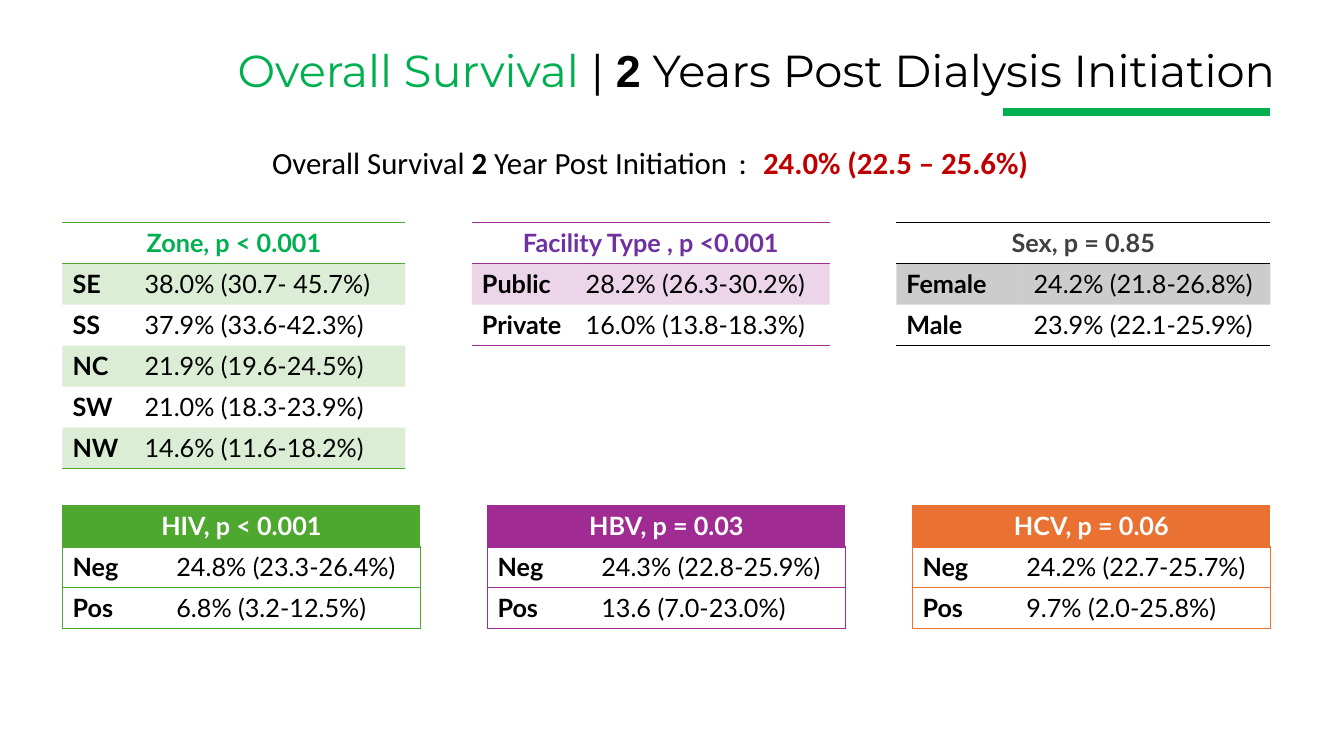
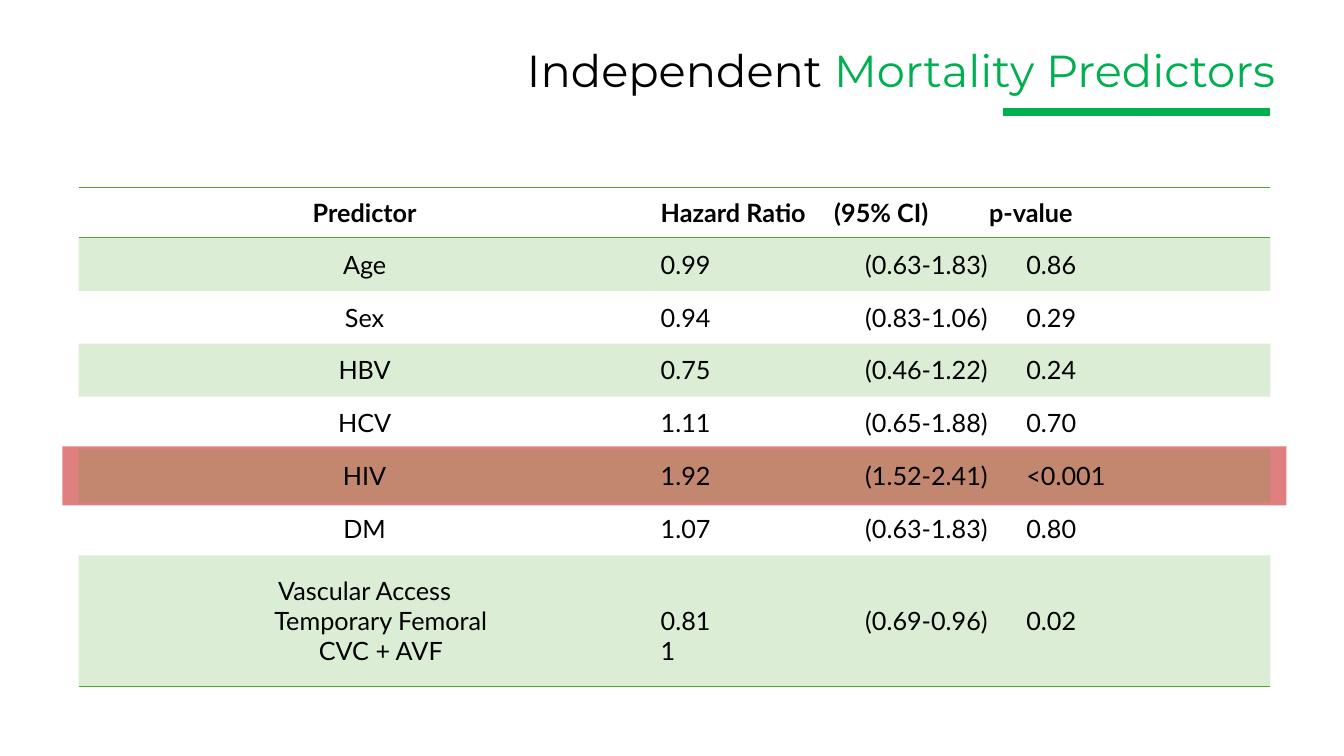
import collections
import dataclasses

import lxml.etree
import pptx
import pptx.dml.color
import pptx.enum.shapes
import pptx.enum.text
import pptx.oxml.ns
import pptx.util

ALIGN = pptx.enum.text.PP_ALIGN
ANCHOR = pptx.enum.text.MSO_ANCHOR
qn = pptx.oxml.ns.qn


@dataclasses.dataclass(frozen=True)
class Theme:
    accent: str = "00B050"
    black: str = "000000"
    white: str = "FFFFFF"
    grey: str = "404040"
    red: str = "C00000"
    green: str = "4EA72E"
    magenta: str = "A02B93"
    violet: str = "7030A0"
    orange: str = "E97132"
    title_font: str = "Montserrat"
    number_font: str = "Arial"
    table_font: str = "Lato"
    summary_font: str = "Calibri"
    title_size: int = 32
    summary_size: int = 22
    table_size: int = 18
    band_opacity: int = 20
    highlight_opacity: int = 50


THEME = Theme()
PLAIN_TABLE = "{2D5ABB26-0587-4C30-8999-92F81FD0307C}"
WIDTH, HEIGHT = pptx.util.Inches(13.33), pptx.util.Inches(7.5)

Box = collections.namedtuple("Box", "left top width height")
Style = collections.namedtuple("Style", "font size color bold spacing", defaults=(False, 0))
Group = collections.namedtuple("Group", "title title_color color width label_share rows")


def grid(left, top, width, height):
    """Box on a grid of 100 columns by 100 rows over the slide."""
    return Box(*(round(value * side / 100) for value, side in
                 zip((left, top, width, height), (WIDTH, HEIGHT) * 2)))


CONTENT_LEFT, CONTENT_RIGHT = 4.65, 94.52
GROUP_ROW = 5.42


# Text, fills and borders
def rgb(color):
    return pptx.dml.color.RGBColor.from_string(color)


def add_runs(paragraph, runs, align=ALIGN.LEFT):
    paragraph.alignment = align
    for text, style in runs:
        run = paragraph.add_run()
        run.text = text
        run.font.name, run.font.size = style.font, pptx.util.Pt(style.size)
        run.font.bold = style.bold
        run.font.color.rgb = rgb(style.color)
        if style.spacing:
            run.font._element.set("spc", str(style.spacing))


def add_line_of_text(slide, box, runs, align):
    frame = slide.shapes.add_textbox(*box).text_frame
    frame.word_wrap = False
    frame.auto_size = pptx.enum.text.MSO_AUTO_SIZE.SHAPE_TO_FIT_TEXT
    add_runs(frame.paragraphs[0], runs, align)


def paint(fill, color, opacity=100):
    fill.solid()
    fill.fore_color.rgb = rgb(color)
    if opacity < 100:
        color_element = fill._xPr.find(qn("a:solidFill"))[0]
        alpha = lxml.etree.SubElement(color_element, qn("a:alpha"))
        alpha.set("val", str(opacity * 1000))


def finish_cell(cell, sides, line_color, fill_color=None, opacity=100):
    """Draw the given sides (from L, R, T, B), then fill the cell."""
    properties = cell._tc.get_or_add_tcPr()
    for side in "LRTB":
        line = lxml.etree.SubElement(properties, qn("a:ln" + side))
        if side in sides:
            line.set("w", str(pptx.util.Pt(1)))
            solid = lxml.etree.SubElement(line, qn("a:solidFill"))
            lxml.etree.SubElement(solid, qn("a:srgbClr")).set("val", line_color)
        else:
            line.set("w", "0")
            lxml.etree.SubElement(line, qn("a:noFill"))
    if fill_color:
        paint(cell.fill, fill_color, opacity)
    else:
        cell.fill.background()


def add_plain_table(slide, box, row_weights, label_share):
    """Two-column table without a style of its own."""
    frame = slide.shapes.add_table(len(row_weights), 2, *box)
    table = frame.table
    table.first_row = table.horz_banding = False
    table._tbl.tblPr.find(qn("a:tableStyleId")).text = PLAIN_TABLE
    table.columns[0].width = round(box.width * label_share)
    table.columns[1].width = box.width - table.columns[0].width
    for row, weight in zip(table.rows, row_weights):
        row.height = round(box.height * weight / sum(row_weights))
    return table


def finish_banded_row(table, index, color):
    """Rules around the header and below the last row, tint on odd rows."""
    last = len(table.rows) - 1
    sides = "TB" if index == 0 else "B" if index == last else ""
    tint = color if index % 2 else None
    for cell in table.rows[index].cells:
        finish_cell(cell, sides, color, tint, THEME.band_opacity)


# Title with the rule below it
def add_title(slide, left, runs):
    add_line_of_text(slide, grid(left, 4.93, 95.65 - left, 8.53), runs, ALIGN.RIGHT)
    start = grid(74.64, 14.8, CONTENT_RIGHT - 74.64, 0)
    rule = slide.shapes.add_connector(
        pptx.enum.shapes.MSO_CONNECTOR.STRAIGHT,
        start.left, start.top, start.left + start.width, start.top)
    rule.line.color.rgb = rgb(THEME.accent)
    rule.line.width = pptx.util.Pt(6)
    lxml.etree.SubElement(rule._element.spPr, qn("a:effectLst"))


# Tables of survival by group
def add_group_table(slide, box, group, boxed):
    table = add_plain_table(slide, box, [1] * (len(group.rows) + 1), group.label_share)
    heading = Style(THEME.table_font, THEME.table_size, group.title_color, True)
    label = heading._replace(color=THEME.black)
    table.cell(0, 0).merge(table.cell(0, 1))
    add_runs(table.cell(0, 0).text_frame.paragraphs[0], [(group.title, heading)], ALIGN.CENTER)
    for index, texts in enumerate(group.rows, 1):
        for column, text in enumerate(texts):
            style = label._replace(bold=column == 0)
            add_runs(table.cell(index, column).text_frame.paragraphs[0], [(text, style)])
    for index in range(len(table.rows)):
        if boxed:
            for cell, side in zip(table.rows[index].cells, "LR"):
                finish_cell(cell, side + "TB", group.color, None if index else group.color)
        else:
            finish_banded_row(table, index, group.color)


def add_group_row(slide, top, groups, boxed):
    """Spread the tables over the content width with equal gaps."""
    free = CONTENT_RIGHT - CONTENT_LEFT - sum(group.width for group in groups)
    left = CONTENT_LEFT
    for group in groups:
        height = GROUP_ROW * (len(group.rows) + 1)
        add_group_table(slide, grid(left, top, group.width, height), group, boxed)
        left += group.width + free / (len(groups) - 1)


def build_survival_slide(slide):
    title = Style(THEME.title_font, THEME.title_size, THEME.black)
    add_title(slide, 13.95, [
        ("Overall Survival ", title._replace(color=THEME.accent)),
        ("| ", title),
        ("2", title._replace(font=THEME.number_font, bold=True)),
        (" Years Post Dialysis Initiation", title)])

    add_group_row(slide, 29.47, [
        Group("Zone, p < 0.001", THEME.accent, THEME.green, 25.51, 0.21, [
            ("SE", "38.0% (30.7- 45.7%)"), ("SS", "37.9% (33.6-42.3%)"),
            ("NC", "21.9% (19.6-24.5%)"), ("SW", "21.0% (18.3-23.9%)"),
            ("NW", "14.6% (11.6-18.2%)")]),
        Group("Facility Type , p <0.001", THEME.violet, THEME.magenta, 26.63, 0.29, [
            ("Public", "28.2% (26.3-30.2%)"), ("Private", "16.0% (13.8-18.3%)")]),
        Group("Sex, p = 0.85", THEME.grey, THEME.black, 27.83, 0.34, [
            ("Female", "24.2% (21.8-26.8%)"), ("Male", "23.9% (22.1-25.9%)")]),
    ], boxed=False)

    infections = [
        ("HIV, p < 0.001", THEME.green, "24.8% (23.3-26.4%)", "6.8% (3.2-12.5%)"),
        ("HBV, p = 0.03", THEME.magenta, "24.3% (22.8-25.9%)", "13.6 (7.0-23.0%)"),
        ("HCV, p = 0.06", THEME.orange, "24.2% (22.7-25.7%)", "9.7% (2.0-25.8%)")]
    add_group_row(slide, 66.93, [
        Group(name, THEME.white, color, 26.63, 0.29, [("Neg", negative), ("Pos", positive)])
        for name, color, negative, positive in infections], boxed=True)

    summary = Style(THEME.summary_font, THEME.summary_size, THEME.black)
    add_line_of_text(slide, grid(18.75, 18.4, 59.26, 6.27), [
        ("Overall Survival ", summary),
        ("2", summary._replace(bold=True)),
        (" Year Post Initiation", summary),
        (" : ", summary._replace(spacing=330)),
        ("24.0% (22.5 – 25.6%)", summary._replace(color=THEME.red, bold=True)),
    ], ALIGN.CENTER)


# Table of mortality predictors
PREDICTORS = [
    (["Predictor"], ["Hazard Ratio\t(95% CI)\tp-value"]),
    (["Age"], ["0.99\t(0.63-1.83)\t0.86"]),
    (["Sex"], ["0.94\t(0.83-1.06)\t0.29"]),
    (["HBV"], ["0.75\t(0.46-1.22)\t0.24"]),
    (["HCV"], ["1.11\t(0.65-1.88)\t0.70"]),
    (["HIV"], ["1.92\t(1.52-2.41)\t<0.001"]),
    (["DM"], ["1.07\t(0.63-1.83)\t0.80"]),
    (["Vascular Access", "Temporary Femoral", "CVC + AVF"],
     ["0.81\t(0.69-0.96)\t0.02", "1"]),
]
PREDICTOR_WEIGHTS = [20] + [21] * 6 + [52]
HIGHLIGHTED_ROW = 5
HEADER_STOPS, BODY_STOPS = (0.28, 0.53), (0.33, 0.59)


def set_tab_stops(paragraph, positions):
    stops = lxml.etree.SubElement(paragraph._p.get_or_add_pPr(), qn("a:tabLst"))
    for position in positions:
        stop = lxml.etree.SubElement(stops, qn("a:tab"))
        stop.set("pos", str(round(position)))
        stop.set("algn", "l")


def add_highlight(slide, box):
    """Translucent bar behind one row, a little larger than the row."""
    row = box.height / sum(PREDICTOR_WEIGHTS)
    side, edge = pptx.util.Inches(0.16), pptx.util.Inches(0.03)
    top = box.top + round(row * sum(PREDICTOR_WEIGHTS[:HIGHLIGHTED_ROW])) - edge
    height = round(row * PREDICTOR_WEIGHTS[HIGHLIGHTED_ROW]) + 2 * edge
    bar = slide.shapes.add_shape(
        pptx.enum.shapes.MSO_SHAPE.RECTANGLE,
        box.left - side, top, box.width + 2 * side, height)
    bar.shadow.inherit = False
    bar.line.fill.background()
    paint(bar.fill, THEME.red, THEME.highlight_opacity)


def add_predictor_table(slide, box):
    table = add_plain_table(slide, box, PREDICTOR_WEIGHTS, 0.48)
    value_width = table.columns[1].width
    for index, (labels, values) in enumerate(PREDICTORS):
        style = Style(THEME.table_font, THEME.table_size, THEME.black, index == 0)
        stops = BODY_STOPS if index else HEADER_STOPS
        for cell, lines in zip(table.rows[index].cells, (labels, values)):
            cell.vertical_anchor = ANCHOR.MIDDLE
            for number, text in enumerate(lines):
                frame = cell.text_frame
                paragraph = frame.add_paragraph() if number else frame.paragraphs[0]
                if lines is labels:
                    add_runs(paragraph, [(text, style)], ALIGN.CENTER)
                    if number:
                        paragraph._p.get_or_add_pPr().set("marL", str(pptx.util.Inches(0.32)))
                else:
                    add_runs(paragraph, [(text, style)])
                    set_tab_stops(paragraph, [share * value_width for share in stops])
        finish_banded_row(table, index, THEME.green)
    # Values of the last row start level with the second label
    table.cell(len(PREDICTORS) - 1, 1).margin_top = pptx.util.Inches(0.35)


def build_predictor_slide(slide):
    box = grid(5.85, 24.8, 88.67, 66)
    title = Style(THEME.title_font, THEME.title_size, THEME.black)
    add_highlight(slide, box)
    add_title(slide, 35.93, [
        ("Independent ", title),
        ("Mortality Predictors", title._replace(color=THEME.accent))])
    add_predictor_table(slide, box)


def main():
    presentation = pptx.Presentation()
    presentation.slide_width, presentation.slide_height = WIDTH, HEIGHT
    for build in (build_survival_slide, build_predictor_slide):
        build(presentation.slides.add_slide(presentation.slide_layouts[6]))
    presentation.save("out.pptx")


if __name__ == "__main__":
    main()
